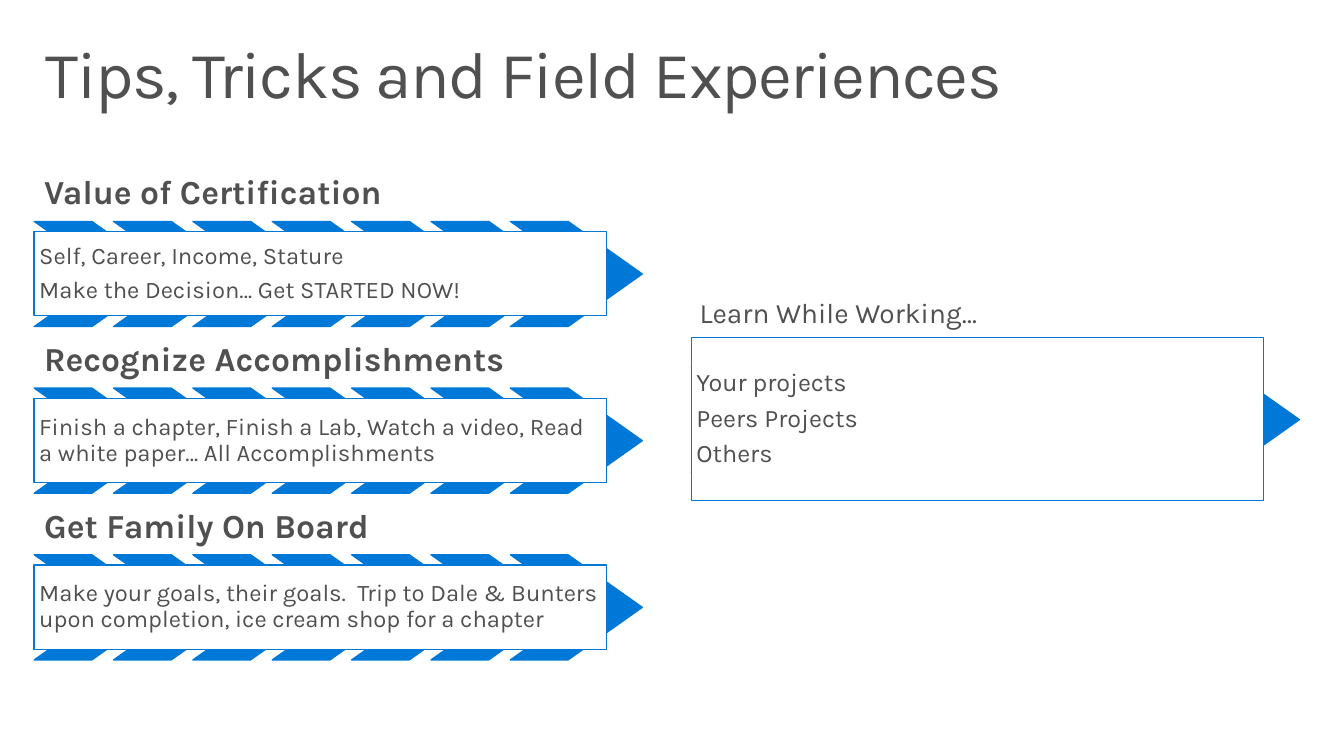
"""Build the slide of tips, tricks and field experiences."""
from pptx import Presentation
from pptx.dml.color import RGBColor as Rgb
from pptx.enum.shapes import MSO_SHAPE as Form
from pptx.enum.text import MSO_ANCHOR as Anchor, PP_ALIGN as Align
from pptx.util import Cm, Pt

BLUE = Rgb(0x00, 0x78, 0xD7)
GREY = Rgb(0x50, 0x50, 0x50)
WHITE = Rgb(0xFF, 0xFF, 0xFF)


def draw(form, fill, *place):
    shape = slide.shapes.add_shape(form, *[Cm(n) for n in place])
    shape.shadow.inherit = False
    shape.fill.solid()
    shape.fill.fore_color.rgb = fill
    shape.line.color.rgb = BLUE
    shape.line.width = Pt(0.85)
    if form == Form.CHEVRON:
        shape.adjustments[0] = 0.706
    return shape


def write(shape, lines, size, anchor, side, edge, bold=False, gap=6):
    frame = shape.text_frame
    look = {"word_wrap": True, "vertical_anchor": anchor,
            "margin_left": Cm(side), "margin_right": Cm(side),
            "margin_top": Cm(edge), "margin_bottom": Cm(edge)}
    for name, value in look.items():
        setattr(frame, name, value)
    frame.text = "\n".join(lines)
    for para in frame.paragraphs:
        para.alignment = Align.LEFT
        para.line_spacing = 0.9
        para.space_after = Pt(gap)
        font = para.runs[0].font
        for name, value in {"name": "Karla", "size": Pt(size), "bold": bold}.items():
            setattr(font, name, value)
        font.color.rgb = GREY


deck = Presentation()
deck.slide_width, deck.slide_height = Cm(33.87), Cm(19.05)
slide = deck.slides.add_slide(deck.slide_layouts[6])

title = slide.shapes.add_textbox(Cm(0.74), Cm(0.81), Cm(32.39), Cm(2.49))
write(title, ["Tips, Tricks and Field Experiences"], 47, Anchor.TOP, 0.41, 0.25, gap=0)
title.text_frame.paragraphs[0].runs[0]._r.get_or_add_rPr().set("spc", "-100")

LEFT, RIGHT = 0.86, 17.42
WIDE, HIGH = 3.33, 2.65
tips = [
    ("Value of Certification",
     ["Self, Career, Income, Stature", "Make the Decision… Get STARTED NOW!"]),
    ("Recognize Accomplishments",
     ["Finish a chapter, Finish a Lab, Watch a video, Read a white paper… All Accomplishments"]),
    ("Get Family On Board",
     ["Make your goals, their goals.  Trip to Dale & Bunters upon completion, "
      "ice cream shop for a chapter"]),
]
for row, (head, lines) in enumerate(tips):
    top = 4.29 + 4.2 * row
    label = slide.shapes.add_textbox(Cm(LEFT), Cm(top), Cm(14.22), Cm(1.3))
    write(label, [head], 24, Anchor.BOTTOM, 0.25, 0.25, bold=True)
    for col in range(7):
        draw(Form.CHEVRON, BLUE, LEFT + 2 * col, top + 1.29, WIDE, HIGH)
    box = draw(Form.RECTANGLE, WHITE, LEFT, top + 1.55, 14.43, 2.12)
    write(box, lines, 17, Anchor.MIDDLE, 0.13, 0.13)

label = slide.shapes.add_textbox(Cm(RIGHT), Cm(7.21), Cm(14.22), Cm(1.3))
write(label, ["Learn While Working…"], 20, Anchor.BOTTOM, 0.21, 0.21)
for left in (RIGHT, RIGHT + 12):
    draw(Form.CHEVRON, BLUE, left, 9.25, WIDE, HIGH)
box = draw(Form.RECTANGLE, WHITE, RIGHT, 8.51, 14.43, 4.1)
write(box, ["Your projects", "Peers Projects", "Others"], 18, Anchor.MIDDLE, 0.13, 0.13)

deck.save("out.pptx")
